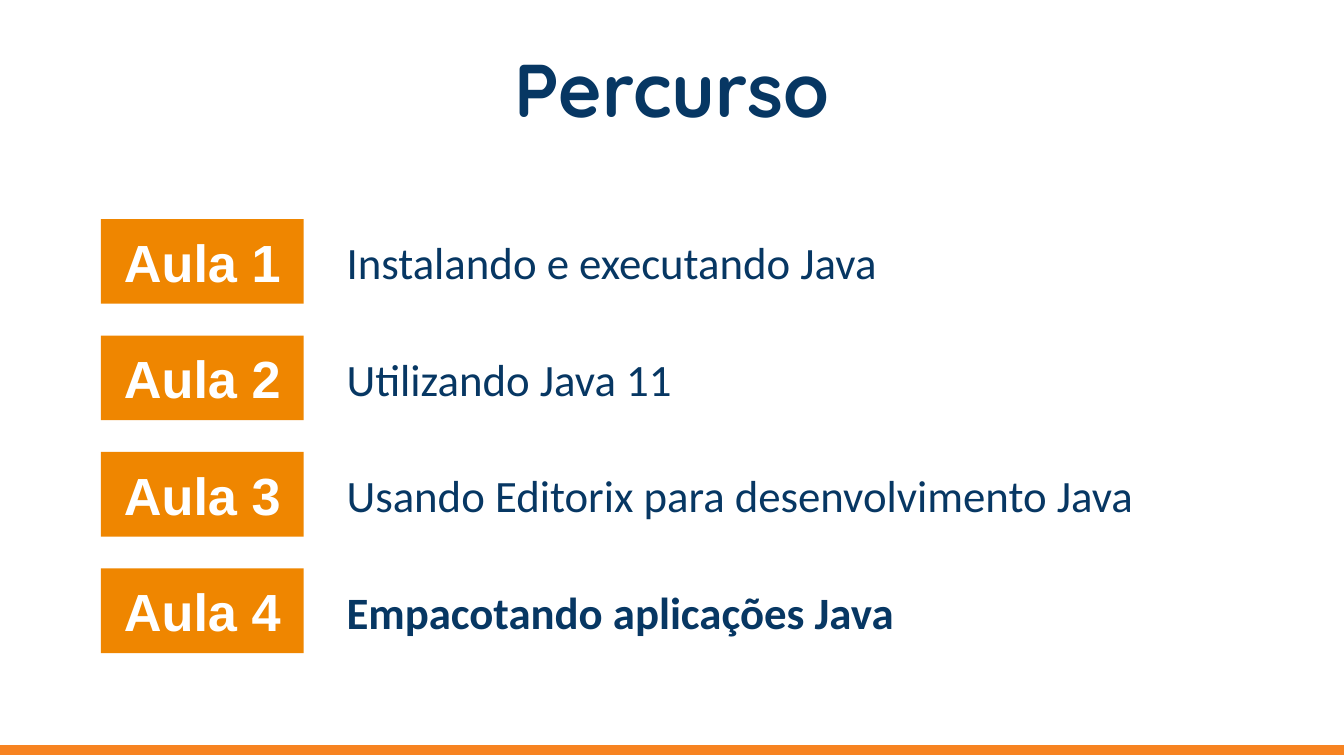
"""Build the course outline slide with its four lessons."""
from dataclasses import dataclass

from pptx import Presentation
from pptx.dml.color import RGBColor
from pptx.enum.shapes import MSO_SHAPE
from pptx.enum.text import MSO_ANCHOR, PP_ALIGN
from pptx.shapes.autoshape import Shape
from pptx.slide import Slide
from pptx.util import Inches, Pt

COLORS = {"navy": "073763", "badge": "EF8600", "footer": "F78321", "white": "FFFFFF"}
FIRST_TOP, LAST_TOP = 1.63, 4.23


@dataclass(frozen=True)
class Lesson:
    """A lesson of the course."""
    topic: str
    current: bool = False


@dataclass(frozen=True)
class TextStyle:
    """Look and placement of a line of text."""
    font: str
    size: int
    color: str
    bold: bool = False
    align: PP_ALIGN = PP_ALIGN.CENTER
    anchor: MSO_ANCHOR = MSO_ANCHOR.MIDDLE
    inset: float = 0.1


LESSONS = [
    Lesson("Instalando e executando Java"),
    Lesson("Utilizando Java 11"),
    Lesson("Usando Editorix para desenvolvimento Java"),
    Lesson("Empacotando aplicações Java", current=True),
]
LESSON_STEP = (LAST_TOP - FIRST_TOP) / (len(LESSONS) - 1)
TITLE_STYLE = TextStyle("Quicksand", 40, "navy", bold=True)
BADGE_STYLE = TextStyle("Arial", 28, "white", bold=True)


def write(shape: Shape, wording: str, style: TextStyle) -> None:
    """Put one styled line of text into a shape."""
    frame = shape.text_frame
    frame.word_wrap = True
    frame.vertical_anchor = style.anchor
    frame.margin_left = frame.margin_right = Inches(0.1)
    frame.margin_top = frame.margin_bottom = Inches(style.inset)
    frame.text = wording
    line = frame.paragraphs[0]
    line.alignment = style.align
    font = line.runs[0].font
    font.name, font.size, font.bold = style.font, Pt(style.size), style.bold
    font.color.rgb = RGBColor.from_string(COLORS[style.color])


def add_text(slide: Slide, left: float, top: float, width: float, height: float,
             wording: str, style: TextStyle) -> None:
    """Add a text box holding one styled line."""
    box = slide.shapes.add_textbox(Inches(left), Inches(top), Inches(width), Inches(height))
    write(box, wording, style)


def add_bar(slide: Slide, left: float, top: float, width: float, height: float,
            color: str) -> Shape:
    """Add a flat filled rectangle without an outline."""
    bar = slide.shapes.add_shape(MSO_SHAPE.RECTANGLE, Inches(left), Inches(top),
                                 Inches(width), Inches(height))
    bar.shadow.inherit = False
    bar.fill.solid()
    bar.fill.fore_color.rgb = RGBColor.from_string(COLORS[color])
    bar.line.fill.background()
    return bar


def add_lesson(slide: Slide, number: int, lesson: Lesson) -> None:
    """Add the badge and topic of one lesson."""
    top = FIRST_TOP + (number - 1) * LESSON_STEP
    badge = add_bar(slide, 0.75, top, 1.51, 0.63, "badge")
    write(badge, f"Aula {number}", BADGE_STYLE)
    topic_style = TextStyle("Calibri", 24, "navy", lesson.current, PP_ALIGN.LEFT,
                            MSO_ANCHOR.TOP, 0.05)
    add_text(slide, 2.48, top + 0.07, 7.18, 0.5, lesson.topic, topic_style)


def main() -> None:
    """Build and save the slide."""
    deck = Presentation()
    deck.slide_width = Inches(10)
    deck.slide_height = deck.slide_width * 9 // 16
    slide = deck.slides.add_slide(deck.slide_layouts[6])
    add_text(slide, 0.34, 0.33, 9.32, 0.65, "Percurso", TITLE_STYLE)
    footer = add_bar(slide, 0, 5.55, 10, 0.06, "footer")
    footer.line.color.rgb = RGBColor.from_string(COLORS["footer"])
    footer.line.width = Pt(0.75)
    for number, lesson in enumerate(LESSONS, start=1):
        add_lesson(slide, number, lesson)
    deck.save("out.pptx")


if __name__ == "__main__":
    main()
